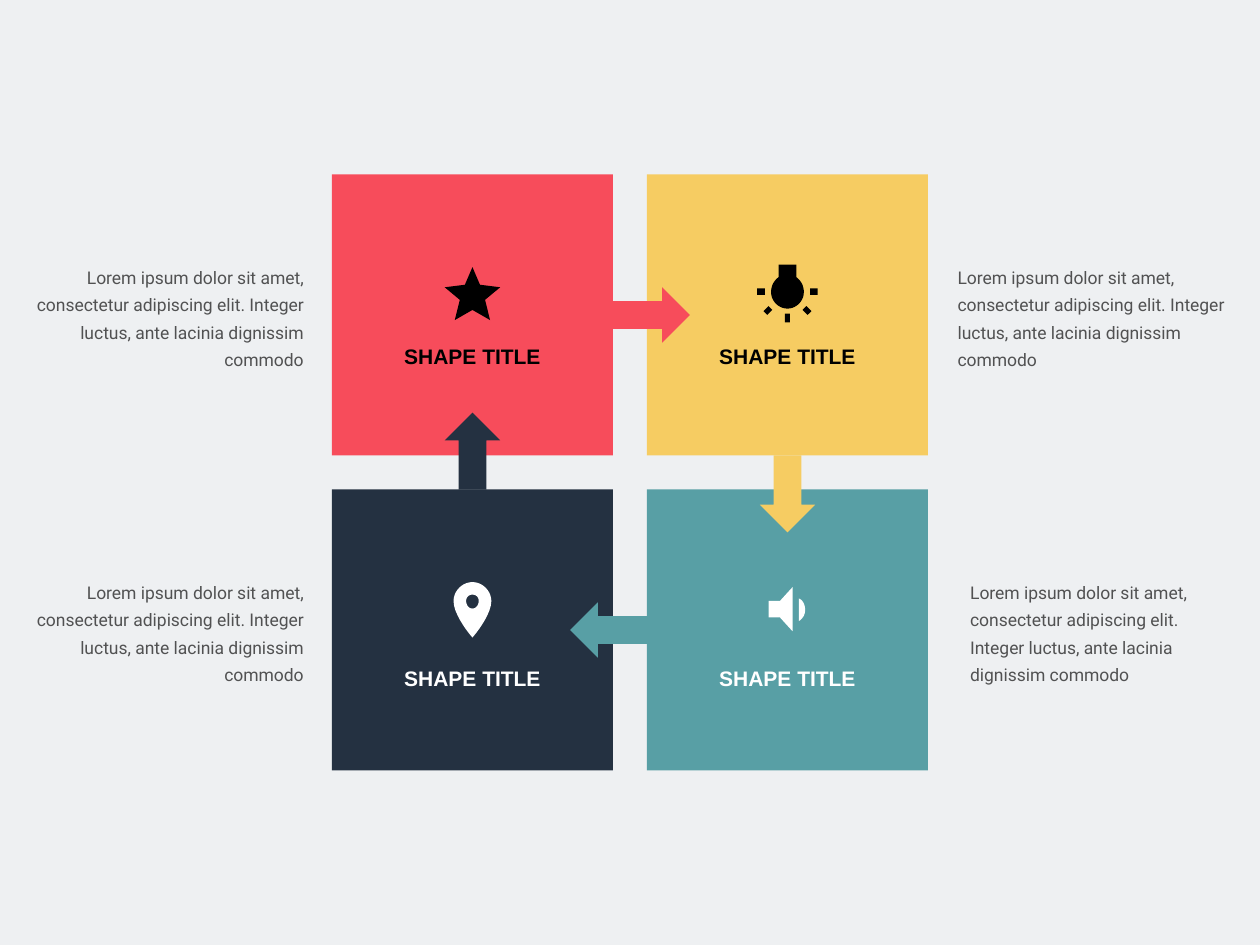
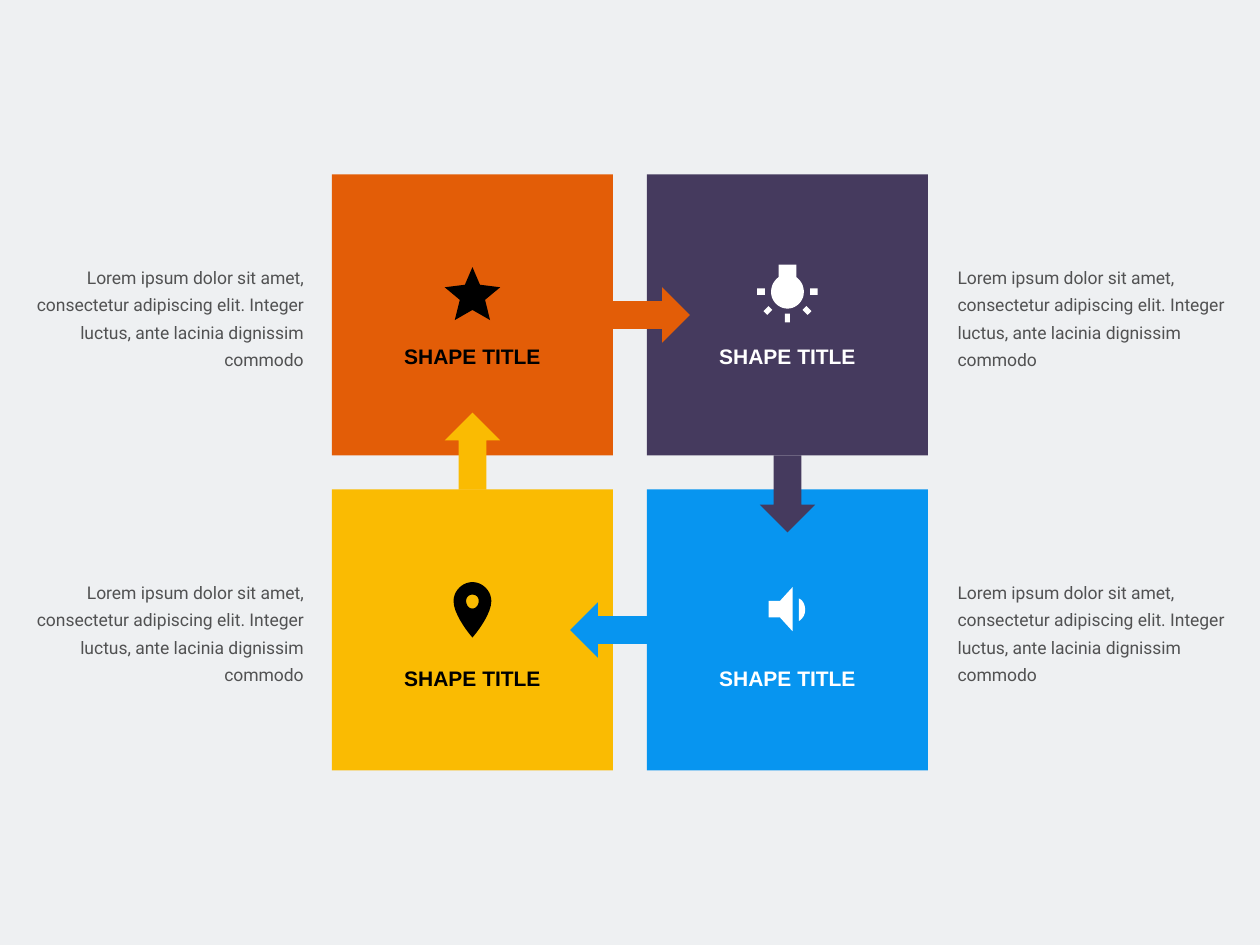
from lxml import etree
from pptx import Presentation
from pptx.dml.color import RGBColor
from pptx.enum.shapes import MSO_SHAPE
from pptx.enum.text import MSO_ANCHOR, MSO_AUTO_SIZE, PP_ALIGN
from pptx.oxml.ns import qn
from pptx.util import Inches, Pt

SQUARE, ARROW = MSO_SHAPE.RECTANGLE, MSO_SHAPE.RIGHT_ARROW
LEFT, CENTER, RIGHT = PP_ALIGN.LEFT, PP_ALIGN.CENTER, PP_ALIGN.RIGHT
TOP, MIDDLE = MSO_ANCHOR.TOP, MSO_ANCHOR.MIDDLE
GROW = MSO_AUTO_SIZE.SHAPE_TO_FIT_TEXT

BACKGROUND, BLACK, WHITE = "EEF0F2", "000000", "FFFFFF"
TITLE = "SHAPE TITLE"
DESCRIPTION = ("Lorem ipsum dolor sit amet, consectetur adipiscing elit. "
               "Integer luctus, ante lacinia dignissim commodo")

TILE = 2.23
ARROW_WIDTH, ARROW_HEIGHT, ARROW_REACH = 0.61, 0.44, 1.42
TITLE_WIDTH, TITLE_HEIGHT = 1.64, 0.2
NOTE_HEIGHT, NOTE_RISE = 0.85, 0.43
LEFT_NOTE, RIGHT_NOTE, NARROW_NOTE = (0.28, 2.13), (7.6, 2.13), (7.7, 2.03)

# Outlines in hundredths of an inch from the tile centre.
# A pair is a straight step, six numbers are a Bezier curve.
STAR = [[(0, -4), (14, 4), (10, -12), (22, -22), (6, -24),
         (0, -38), (-6, -24), (-22, -22), (-10, -12), (-14, 4)]]
LEFT_RAYS = [[(-19, -3), (-16, 0), (-12, -4), (-15, -7)],
             [(-18, -21), (-24, -21), (-24, -16), (-18, -16)]]
RIGHT_RAYS = [[(-x, y) for x, y in ray] for ray in LEFT_RAYS]
BULB = [[(7, -30), (7, -40), (-7, -40), (-7, -30),
         (-11, -27, -13, -23, -13, -18), (-13, -11, -7, -5, 0, -5),
         (7, -5, 13, -11, 13, -18), (13, -23, 11, -27, 7, -30)],
        [(-2, 6), (2, 6), (2, -1), (-2, -1)]] + LEFT_RAYS + RIGHT_RAYS
SPEAKER = [[(14, -16), (14, -20, 12, -24, 9, -25), (9, -7),
            (12, -9, 14, -12, 14, -16)],
           [(-15, -23), (-15, -10), (-6, -10), (4, 1), (4, -34), (-6, -23)]]
PIN = [[(0, -38), (-8, -38, -15, -31, -15, -23), (-15, -11, 0, 6, 0, 6),
        (0, 6, 15, -11, 15, -23), (15, -31, 8, -38, 0, -38)],
       [(0, -17), (-3, -17, -5, -20, -5, -23), (-5, -26, -3, -28, 0, -28),
        (3, -28, 5, -26, 5, -23), (5, -20, 3, -17, 0, -17)]]

# Clockwise from the top left: centre, arrow direction, title drop, icon
STEPS = [((3.75, 2.5), (1, 0), 0.33, STAR),
         ((6.25, 2.5), (0, 1), 0.33, BULB),
         ((6.25, 5), (-1, 0), 0.38, SPEAKER),
         ((3.75, 5), (0, -1), 0.38, PIN)]

# For each slide: tile colours, icon and title colours, place of each note
SLIDES = [(["F74C5B", "F6CC62", "589FA5", "243141"],
           [BLACK, BLACK, WHITE, WHITE],
           [LEFT_NOTE, RIGHT_NOTE, NARROW_NOTE, LEFT_NOTE]),
          (["E35D07", "453A5E", "0795F0", "FABB02"],
           [BLACK, WHITE, WHITE, BLACK],
           [LEFT_NOTE, RIGHT_NOTE, RIGHT_NOTE, LEFT_NOTE])]


def paint(color_format, color):
    color_format.rgb = RGBColor.from_string(color)


def flatten(outline, pieces=10):
    """Turn the Bezier curves of an outline into short straight steps."""
    points = [outline[0]]
    for step in outline[1:]:
        if len(step) == 2:
            points.append(step)
            continue
        controls = [points[-1], step[:2], step[2:4], step[4:]]
        for piece in range(1, pieces + 1):
            t = piece / pieces
            weights = ((1 - t) ** 3, 3 * t * (1 - t) ** 2,
                       3 * t * t * (1 - t), t ** 3)
            points.append(tuple(sum(w * c[axis] for w, c in zip(weights, controls))
                                for axis in (0, 1)))
    return points


class CycleDeck:
    def __init__(self):
        self.presentation = Presentation()
        self.presentation.slide_width = Inches(10)
        self.presentation.slide_height = Inches(7.5)
        self.slide = None

    def add_slide(self):
        blank = self.presentation.slide_layouts[6]
        self.slide = self.presentation.slides.add_slide(blank)
        fill = self.slide.background.fill
        fill.solid()
        paint(fill.fore_color, BACKGROUND)

    def finish(self, shape, color):
        shape.shadow.inherit = False
        shape.fill.solid()
        paint(shape.fill.fore_color, color)
        shape.line.fill.background()

    def block(self, kind, center, width, height, color, rotation=0):
        x, y = center
        shape = self.slide.shapes.add_shape(
            kind, Inches(x - width / 2), Inches(y - height / 2),
            Inches(width), Inches(height))
        shape.rotation = rotation
        self.finish(shape, color)

    def icon(self, center, outlines, color):
        builder = None
        for outline in outlines:
            points = [tuple(Inches(c + offset / 100) for c, offset in zip(center, point))
                      for point in flatten(outline)]
            if builder is None:
                builder = self.slide.shapes.build_freeform(*points[0])
            else:
                builder.move_to(*points[0])
            builder.add_line_segments(points[1:], close=True)
        self.finish(builder.convert_to_shape(), color)

    def text(self, content, left, top, width, height, align, anchor):
        """Add a text box without margins and return its paragraph."""
        box = self.slide.shapes.add_textbox(
            Inches(left), Inches(top), Inches(width), Inches(height))
        frame = box.text_frame
        frame.margin_left = frame.margin_right = 0
        frame.margin_top = frame.margin_bottom = 0
        frame.word_wrap = True
        frame.auto_size = GROW
        frame.vertical_anchor = anchor
        frame.text = content
        paragraph = frame.paragraphs[0]
        paragraph.alignment = align
        return paragraph

    def style(self, paragraph, font_name, size, color, bold=False):
        font = paragraph.runs[0].font
        font.name, font.size, font.bold = font_name, Pt(size), bold
        paint(font.color, color)

    def title(self, center, drop, color):
        x, y = center
        paragraph = self.text(TITLE, x - TITLE_WIDTH / 2, y + drop - TITLE_HEIGHT / 2,
                              TITLE_WIDTH, TITLE_HEIGHT, CENTER, MIDDLE)
        self.style(paragraph, "Arial", 12, color, bold=True)

    def note(self, place, center_y):
        left, width = place
        align = RIGHT if place == LEFT_NOTE else LEFT
        paragraph = self.text(DESCRIPTION, left, center_y - NOTE_RISE, width,
                              NOTE_HEIGHT, align, TOP)
        paragraph.line_spacing = 1.3
        self.style(paragraph, "Roboto", 10, BLACK)
        for color in paragraph.runs[0].font._element.iter(qn("a:srgbClr")):
            etree.SubElement(color, qn("a:alpha")).set("val", "65000")


def main():
    deck = CycleDeck()
    for tile_colors, ink_colors, note_places in SLIDES:
        deck.add_slide()
        for (center, *_), color in zip(STEPS, tile_colors):
            deck.block(SQUARE, center, TILE, TILE, color)
        for index, ((x, y), (dx, dy), *_) in enumerate(STEPS):
            middle = (x + dx * ARROW_REACH, y + dy * ARROW_REACH)
            deck.block(ARROW, middle, ARROW_WIDTH, ARROW_HEIGHT,
                       tile_colors[index], rotation=90 * index)
        for (center, _, drop, outlines), ink, place in zip(STEPS, ink_colors, note_places):
            deck.title(center, drop, ink)
            deck.note(place, center[1])
            deck.icon(center, outlines, ink)
    deck.presentation.save("out.pptx")


if __name__ == "__main__":
    main()
